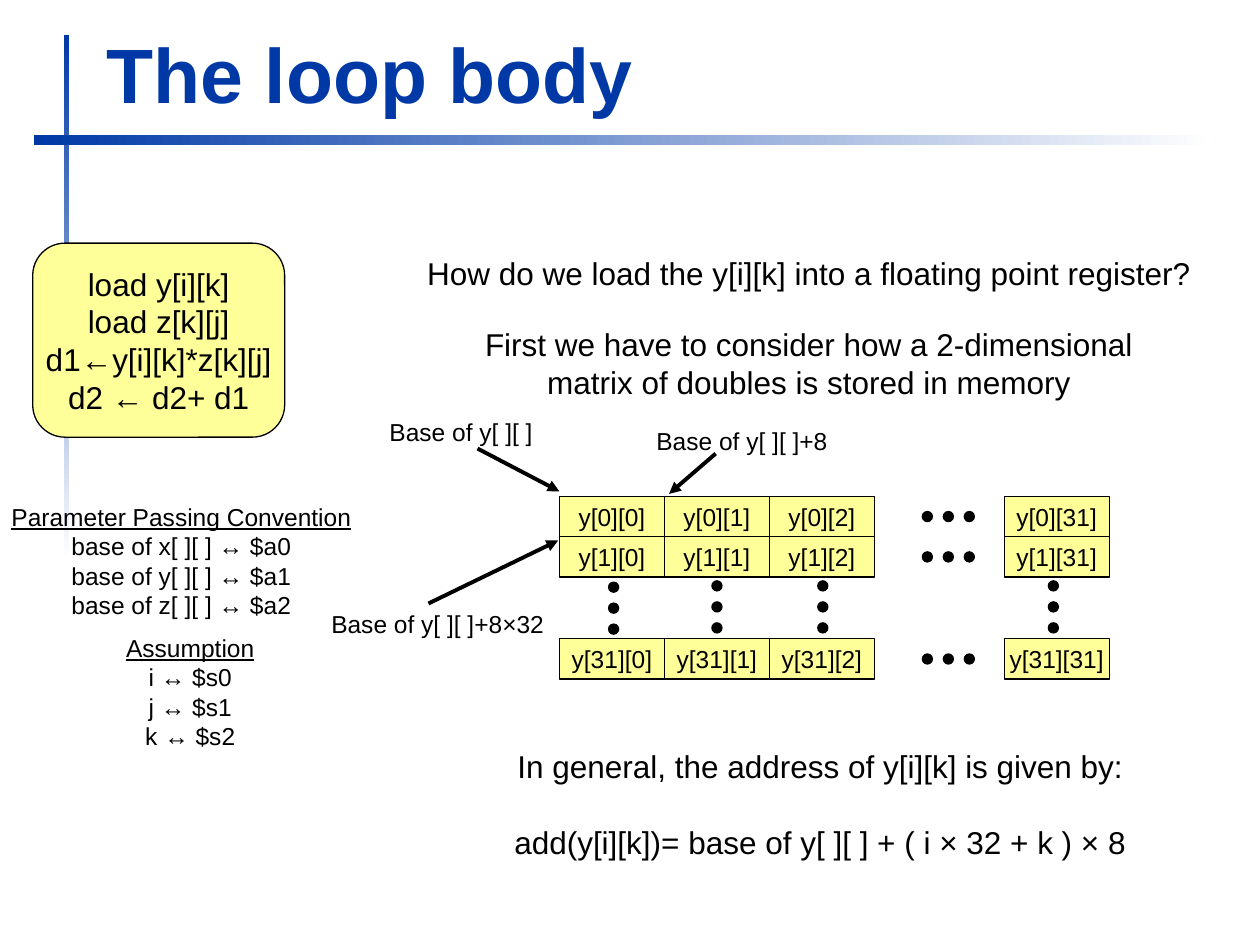
from typing import NamedTuple

from lxml.etree import SubElement
from pptx import Presentation
from pptx.dml.color import RGBColor as Rgb
from pptx.enum.shapes import MSO_CONNECTOR as Connector, MSO_SHAPE as Shape
from pptx.enum.text import MSO_ANCHOR as Anchor, PP_ALIGN as Align
from pptx.oxml.ns import qn
from pptx.util import Inches, Pt

COLORS = {"blue": "0039A6", "white": "FFFFFF", "yellow": "FFFF99", "black": "000000"}
FONT = "Arial"
CELL_WIDTH, CELL_HEIGHT = 2.5 / 3, 0.32
DOT_SIZE, DOT_STEP = 0.08, CELL_WIDTH / 5


class Area(NamedTuple):
    left: float
    top: float
    width: float
    height: float


class Label(NamedTuple):
    area: Area
    lines: tuple[str, ...]
    size: int
    underline_first: bool = False
    gap: float = 0


class Bar(NamedTuple):
    area: Area
    angle: int


class Arrow(NamedTuple):
    start: tuple[float, float]
    end: tuple[float, float]


class Column(NamedTuple):
    index: int
    left: float
    dot_left: float
    dot_top: float


class Row(NamedTuple):
    index: int
    top: float


BARS = (Bar(Area(0.51, 0.28, 0.04, 4.17), 270), Bar(Area(0.27, 1.07, 9.37, 0.08), 0))
TITLE = Label(Area(0.75, 0.16, 9.03, 0.83), ("The loop body",), 44)
LOOP_BODY = Label(
    Area(0.26, 1.93, 2, 1.54),
    ("load y[i][k]", "load z[k][j]", "d1←y[i][k]*z[k][j]", "d2 ← d2+ d1"),
    18,
)
LABELS = (
    Label(
        Area(-0.01, 3.93, 2.9, 1.04),
        ("Parameter Passing Convention", "base of x[ ][ ] ↔ $a0",
         "base of y[ ][ ] ↔ $a1", "base of z[ ][ ] ↔ $a2"),
        14,
        underline_first=True,
    ),
    Label(
        Area(0.9, 4.97, 1.22, 1.04),
        ("Assumption", "i ↔ $s0", "j ↔ $s1", "k ↔ $s2"),
        14,
        underline_first=True,
    ),
    Label(
        Area(3.29, 1.97, 6.26, 0.4),
        ("How do we load the y[i][k] into a floating point register?",),
        18,
    ),
    Label(
        Area(3.75, 2.53, 5.34, 0.7),
        ("First we have to consider how a 2-dimensional",
         "matrix of doubles is stored in memory"),
        18,
    ),
    Label(Area(2.99, 3.26, 1.34, 0.34), ("Base of y[ ][ ]",), 14),
    Label(Area(5.11, 3.33, 1.56, 0.34), ("Base of y[ ][ ]+8",), 14),
    Label(Area(2.51, 4.78, 1.93, 0.34), ("Base of y[ ][ ]+8×32",), 14),
    Label(
        Area(3.93, 5.88, 5.16, 1),
        ("In general, the address of y[i][k] is given by:",
         "add(y[i][k])= base of y[ ][ ] + ( i × 32 + k ) × 8"),
        18,
        gap=21.5,
    ),
)
ARROWS = (
    Arrow((3.79, 3.56), (4.44, 3.9)),
    Arrow((5.68, 3.6), (5.31, 3.92)),
    Arrow((3.4, 4.79), (4.43, 4.29)),
)
COLUMNS = (
    Column(0, 4.44, 4.83, 4.62),
    Column(1, 4.44 + CELL_WIDTH, 5.65, 4.61),
    Column(2, 4.44 + 2 * CELL_WIDTH, 6.49, 4.61),
    Column(31, 7.97, 8.32, 4.61),
)
ROWS = (Row(0, 3.94), Row(1, 3.94 + CELL_HEIGHT), Row(31, 5.07))


def color(name: str) -> Rgb:
    """Return the named colour."""
    return Rgb.from_string(COLORS[name])


def place(area: Area) -> list[int]:
    """Convert an area in inches to lengths."""
    return [Inches(value) for value in area]


def write(box, label: Label, ink: str = "black", bold: bool = False,
          align=Align.CENTER, anchor=Anchor.MIDDLE, wrap: bool = False) -> None:
    """Fill a box with the lines of a label."""
    frame = box.text_frame
    frame.word_wrap = wrap
    frame.vertical_anchor = anchor
    for number, line in enumerate(label.lines):
        para = frame.add_paragraph() if number else frame.paragraphs[0]
        para.alignment = align
        if number and label.gap:
            para.space_before = Pt(label.gap)
        span = para.add_run()
        span.text = line
        span.font.name = FONT
        span.font.size = Pt(label.size)
        span.font.bold = bold
        span.font.underline = label.underline_first and number == 0
        span.font.color.rgb = color(ink)


def add_outlined(page, kind, area: Area, fill: str):
    """Add a filled shape with a thin black outline."""
    shape = page.shapes.add_shape(kind, *place(area))
    shape.shadow.inherit = False
    shape.fill.solid()
    shape.fill.fore_color.rgb = color(fill)
    shape.line.color.rgb = color("black")
    shape.line.width = Pt(0.75)
    return shape


def add_bar(page, bar: Bar) -> None:
    """Add a bar that fades from blue to white."""
    shape = page.shapes.add_shape(Shape.RECTANGLE, *place(bar.area))
    shape.shadow.inherit = False
    shape.line.fill.background()
    shape.fill.gradient()
    shape.fill.gradient_angle = bar.angle
    for stop, name in zip(shape.fill.gradient_stops, ("blue", "white")):
        stop.color.rgb = color(name)


def add_dots(page, left: float, top: float, step_x: float, step_y: float) -> None:
    """Add three dots in a line."""
    for number in range(3):
        area = Area(left + number * step_x, top + number * step_y, DOT_SIZE, DOT_SIZE)
        add_outlined(page, Shape.OVAL, area, "black")


def add_arrow(page, arrow: Arrow) -> None:
    """Add a straight line with a triangular head at its end."""
    points = [Inches(value) for value in (*arrow.start, *arrow.end)]
    line = page.shapes.add_connector(Connector.STRAIGHT, *points)
    line.line.color.rgb = color("black")
    line.line.width = Pt(2.25)
    SubElement(line.line._get_or_add_ln(), qn("a:tailEnd"), type="triangle")
    SubElement(line._element.spPr, qn("a:effectLst"))


def add_matrix(page) -> None:
    """Add the cells of the matrix and the dots between them."""
    for row in ROWS:
        for column in COLUMNS:
            area = Area(column.left, row.top, CELL_WIDTH, CELL_HEIGHT)
            cell = add_outlined(page, Shape.RECTANGLE, area, "yellow")
            write(cell, Label(area, (f"y[{row.index}][{column.index}]",), 14))
        add_dots(page, 7.32, row.top + 0.12, DOT_STEP, 0)
    for column in COLUMNS:
        add_dots(page, column.dot_left, column.dot_top, 0, DOT_STEP)


def main() -> None:
    """Build the slide and save it."""
    deck = Presentation()
    deck.slide_width, deck.slide_height = Inches(10), Inches(7.5)
    page = deck.slides.add_slide(deck.slide_layouts[6])
    for bar in BARS:
        add_bar(page, bar)
    title = page.shapes.add_textbox(*place(TITLE.area))
    write(title, TITLE, "blue", True, Align.LEFT, Anchor.BOTTOM, True)
    write(add_outlined(page, Shape.ROUNDED_RECTANGLE, LOOP_BODY.area, "yellow"), LOOP_BODY)
    add_matrix(page)
    for label in LABELS:
        write(page.shapes.add_textbox(*place(label.area)), label)
    for arrow in ARROWS:
        add_arrow(page, arrow)
    deck.save("out.pptx")


if __name__ == "__main__":
    main()
